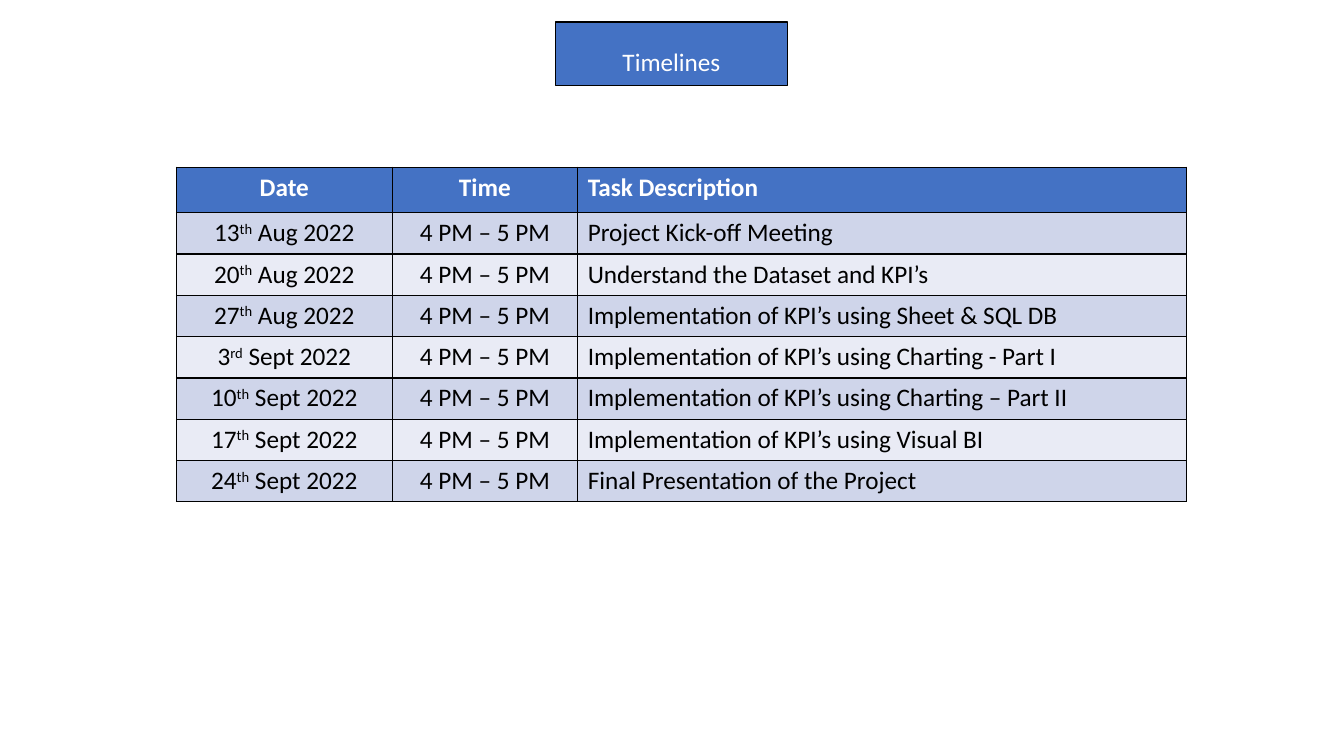
import pptx
import pptx.util
import pptx.dml.color
import pptx.enum.text
import lxml.etree
from pptx.util import Inches

COLORS = {"blue": "4472C4", "band_dark": "CFD5EA", "band_light": "E9EBF5",
          "black": "000000", "white": "FFFFFF"}
CENTER = pptx.enum.text.PP_ALIGN.CENTER
LEFT = pptx.enum.text.PP_ALIGN.LEFT
MIDDLE = pptx.enum.text.MSO_ANCHOR.MIDDLE


def rgb(name):
    return pptx.dml.color.RGBColor.from_string(COLORS[name])


def add_run(p, text, color, bold=False, baseline=None):
    r = p.add_run()
    r.text = text
    r.font.name = "Calibri"
    r.font.size = pptx.util.Pt(18)
    r.font.bold = bold
    r.font.color.rgb = rgb(color)
    if baseline:
        r.font._element.set("baseline", baseline)


prs = pptx.Presentation()
prs.slide_width, prs.slide_height = Inches(13.33), Inches(7.5)
s = prs.slides.add_slide(prs.slide_layouts[5])

# Title box
title = s.shapes.title
title.left, title.top = Inches(5.51), Inches(0.22)
title.width, title.height = Inches(2.3), Inches(0.63)
title.fill.solid()
title.fill.fore_color.rgb = rgb("blue")
title.line.color.rgb = rgb("black")
title.line.width = pptx.util.Pt(1)
tf = title.text_frame
tf.auto_size = pptx.enum.text.MSO_AUTO_SIZE.NONE
tf.word_wrap = True
tf.vertical_anchor = MIDDLE
p = tf.paragraphs[0]
p.alignment = CENTER
p.line_spacing = 1.5
add_run(p, "Timelines", "white")

# Schedule: day, ordinal suffix, month, task
tasks = [
    ("13", "th", "Aug", "Project Kick-off Meeting"),
    ("20", "th", "Aug", "Understand the Dataset and KPI’s"),
    ("27", "th", "Aug", "Implementation of KPI’s using Sheet & SQL DB"),
    ("3", "rd", "Sept", "Implementation of KPI’s using Charting - Part I"),
    ("10", "th", "Sept", "Implementation of KPI’s using Charting – Part II"),
    ("17", "th", "Sept", "Implementation of KPI’s using Visual BI"),
    ("24", "th", "Sept", "Final Presentation of the Project"),
]
rows = [[["Date"], ["Time"], ["Task Description"]]]
for day, suffix, month, task in tasks:
    rows.append([[day, suffix, f" {month} 2022"], ["4 PM – 5 PM"], [task]])

# Table grid
table = s.shapes.add_table(len(rows), 3, Inches(1.75), Inches(1.66),
                           Inches(10.02), Inches(3.32)).table
for column, width in zip(table.columns, (2.14, 1.84, 6.04)):
    column.width = Inches(width)
for i, row in enumerate(table.rows):
    row.height = Inches(0.41 if i else 0.45)

# Cells: text, banded fill and borders
for i, row in enumerate(rows):
    fill = "blue" if i == 0 else "band_dark" if i % 2 else "band_light"
    for j, parts in enumerate(row):
        cell = table.cell(i, j)
        p = cell.text_frame.paragraphs[0]
        p.alignment = LEFT if j == 2 else CENTER
        for k, text in enumerate(parts):
            add_run(p, text, "black" if i else "white", bold=i == 0,
                    baseline="30000" if k == 1 else None)
        tc_pr = cell._tc.get_or_add_tcPr()
        for side in ("lnL", "lnR", "lnT", "lnB"):
            ln = lxml.etree.SubElement(tc_pr, pptx.oxml.ns.qn("a:" + side), w="12700")
            solid = lxml.etree.SubElement(ln, pptx.oxml.ns.qn("a:solidFill"))
            lxml.etree.SubElement(solid, pptx.oxml.ns.qn("a:srgbClr"), val=COLORS["black"])
        cell.fill.solid()
        cell.fill.fore_color.rgb = rgb(fill)

prs.save("out.pptx")
